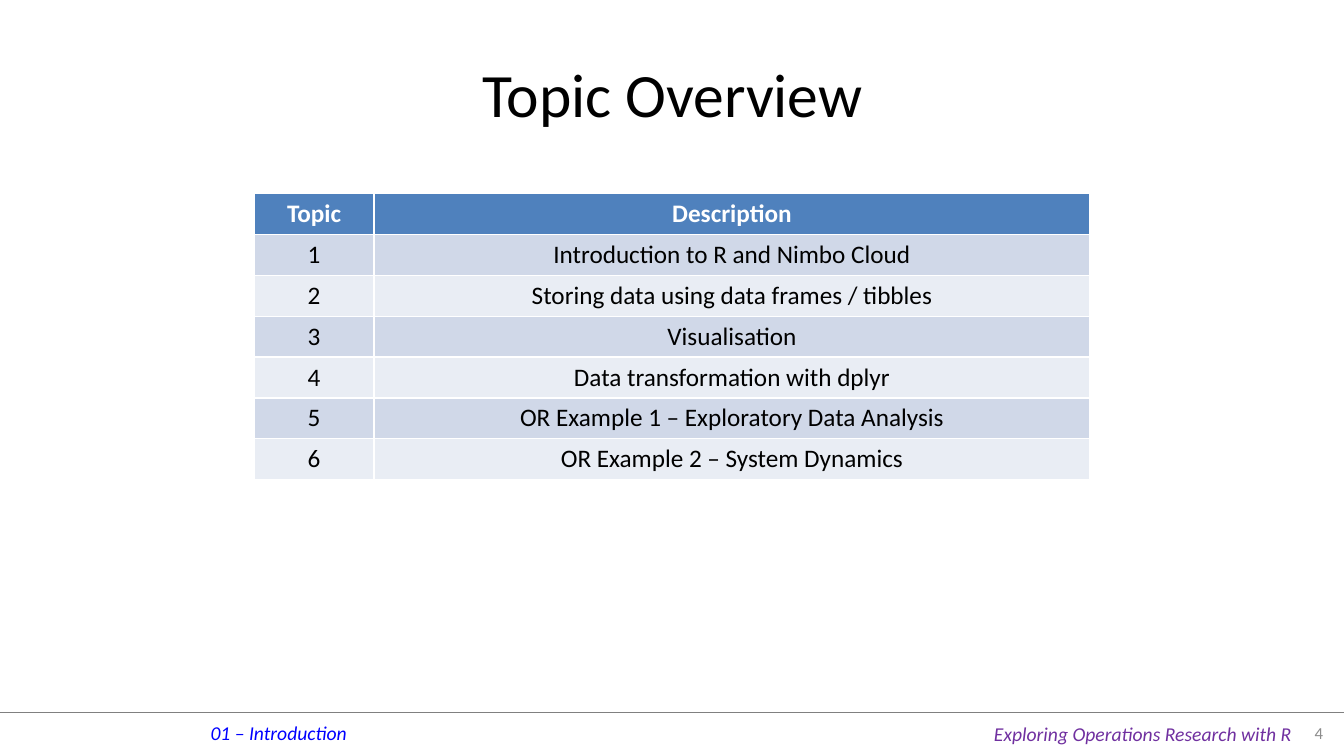
from lxml import etree
from pptx import Presentation
from pptx.dml.color import RGBColor
from pptx.enum.shapes import MSO_CONNECTOR
from pptx.enum.text import MSO_ANCHOR, PP_ALIGN
from pptx.oxml.ns import qn
from pptx.util import Inches, Pt

LEFT, CENTER, RIGHT = PP_ALIGN.LEFT, PP_ALIGN.CENTER, PP_ALIGN.RIGHT
MIDDLE, TOP = MSO_ANCHOR.MIDDLE, MSO_ANCHOR.TOP
STRAIGHT = MSO_CONNECTOR.STRAIGHT

SLIDE_WIDTH, SLIDE_HEIGHT = 13.33, 7.5
FONT = "Calibri"
TITLE = "Topic Overview"
HEADER = ("Topic", "Description")
TOPICS = [
    "Introduction to R and Nimbo Cloud",
    "Storing data using data frames / tibbles",
    "Visualisation",
    "Data transformation with dplyr",
    "OR Example 1 – Exploratory Data Analysis",
    "OR Example 2 – System Dynamics",
]
HEADER_FILL = "4F81BD"
BAND_FILLS = ("D0D8E8", "E9EDF4")
COLUMN_WIDTHS = (1.19, 7.1)
TABLE_TOP, TABLE_HEIGHT = 1.92, 2.84
FOOTER_TOP = 7.07
# text, (left, top, width, height), size, colour, italic, alignment, anchor, wrap
FOOTER = [
    ("01 – Introduction", (1.99, 7.1, 1.57, 0.34),
     14, "0000FF", True, LEFT, TOP, False),
    ("Exploring Operations Research with R", (9.76, 7.11, 3.18, 0.34),
     14, "7030A0", True, LEFT, TOP, False),
    ("4", (12.67, FOOTER_TOP, 0.55, 0.39),
     12, "8C8C8C", False, RIGHT, MIDDLE, True),
]


def color(hex_code):
    return RGBColor.from_string(hex_code)


def write(text_frame, text, size, hex_code, alignment, bold=False, italic=False):
    text_frame.text = text
    paragraph = text_frame.paragraphs[0]
    paragraph.alignment = alignment
    font = paragraph.runs[0].font
    font.name, font.size = FONT, Pt(size)
    font.bold, font.italic = bold, italic
    font.color.rgb = color(hex_code)


def add_title(slide):
    title = slide.shapes.title
    title.left, title.top = Inches(0.67), Inches(0.3)
    title.width, title.height = Inches(12), Inches(1.25)
    title.text_frame.vertical_anchor = MIDDLE
    write(title.text_frame, TITLE, 44, "000000", CENTER)


def add_topic_table(slide):
    rows = [HEADER] + [(str(number), topic) for number, topic in enumerate(TOPICS, 1)]
    width = sum(COLUMN_WIDTHS)
    table = slide.shapes.add_table(
        len(rows), len(HEADER), Inches((SLIDE_WIDTH - width) / 2), Inches(TABLE_TOP),
        Inches(width), Inches(TABLE_HEIGHT)).table
    for column, column_width in zip(table.columns, COLUMN_WIDTHS):
        column.width = Inches(column_width)
    for row_index, row in enumerate(rows):
        is_header = row_index == 0
        fill = HEADER_FILL if is_header else BAND_FILLS[(row_index - 1) % 2]
        for column_index, text in enumerate(row):
            cell = table.cell(row_index, column_index)
            cell.fill.solid()
            cell.fill.fore_color.rgb = color(fill)
            write(cell.text_frame, text, 18, "FFFFFF" if is_header else "000000",
                  CENTER, bold=is_header)


def add_footer(slide):
    rule = slide.shapes.add_connector(
        STRAIGHT, 0, Inches(FOOTER_TOP), Inches(SLIDE_WIDTH), Inches(FOOTER_TOP))
    rule.line.color.rgb = color("808080")
    rule.line.width = Pt(0.25)
    etree.SubElement(rule.element.spPr, qn("a:effectLst"))
    for text, box, size, hex_code, italic, alignment, anchor, wrap in FOOTER:
        text_frame = slide.shapes.add_textbox(*map(Inches, box)).text_frame
        text_frame.word_wrap = wrap
        text_frame.vertical_anchor = anchor
        write(text_frame, text, size, hex_code, alignment, italic=italic)


def main():
    presentation = Presentation()
    presentation.slide_width = Inches(SLIDE_WIDTH)
    presentation.slide_height = Inches(SLIDE_HEIGHT)
    slide = presentation.slides.add_slide(presentation.slide_layouts[5])
    add_footer(slide)
    add_title(slide)
    add_topic_table(slide)
    presentation.save("out.pptx")


if __name__ == "__main__":
    main()
